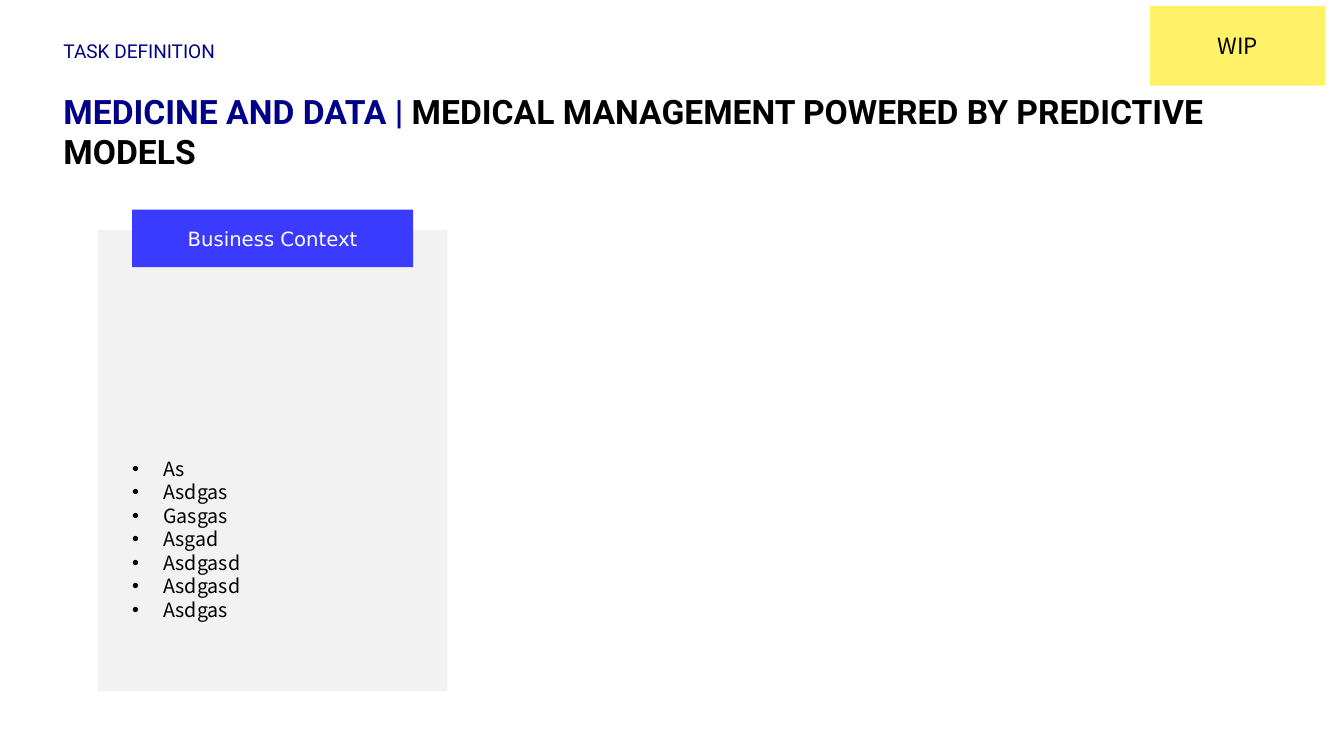
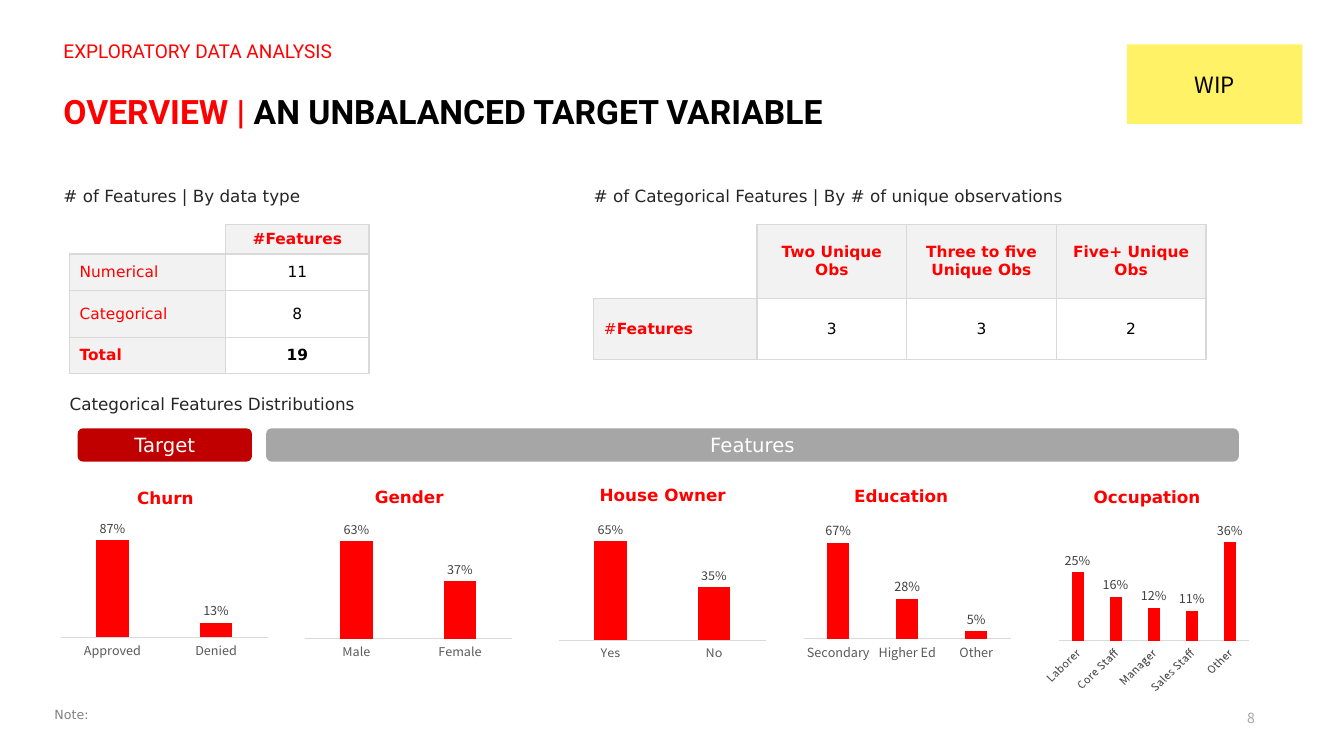
import pptx
import pptx.chart.data
import pptx.dml.color
import pptx.enum.chart
import pptx.enum.shapes
import pptx.enum.text
import pptx.oxml.ns
import pptx.util
from lxml import etree

RGB = pptx.dml.color.RGBColor
NAVY = RGB(0x00, 0x00, 0x88)
BLUE = RGB(0x3B, 0x3B, 0xFF)
RED = RGB(0xFF, 0x00, 0x00)
DARK_RED = RGB(0xC0, 0x00, 0x00)
YELLOW = RGB(0xFF, 0xF2, 0x66)
BLACK = RGB(0x00, 0x00, 0x00)
WHITE = RGB(0xFF, 0xFF, 0xFF)
PALE = RGB(0xF2, 0xF2, 0xF2)
RULE = RGB(0xD9, 0xD9, 0xD9)
SILVER = RGB(0xA6, 0xA6, 0xA6)
GRAY = RGB(0x80, 0x80, 0x80)
AXIS_TEXT = RGB(0x59, 0x59, 0x59)
LABEL_TEXT = RGB(0x40, 0x40, 0x40)
CAPTION_TEXT = RGB(0x26, 0x26, 0x26)

SANS, BODY, HEAD = "DejaVu Sans", "Noto Sans CJK JP", "Roboto"
COLS, ROWS, CELL = 133.33, 75, 0.1

ALIGN = pptx.enum.text.PP_ALIGN
ANCHOR = pptx.enum.text.MSO_ANCHOR
SHAPE = pptx.enum.shapes.MSO_SHAPE
qn = pptx.oxml.ns.qn


def grid(value):
    return pptx.util.Inches(value * CELL)


def style(name, size, color, bold=False):
    return {"name": name, "size": pptx.util.Pt(size), "color": color, "bold": bold}


CAPTION = style(SANS, 12, CAPTION_TEXT)
CHART_TITLE = style(SANS, 12, RED, True)
BUTTON = style(SANS, 14, WHITE)
TABLE_HEAD = style(SANS, 11, RED, True)
TABLE_LABEL = style(SANS, 11, RED)
TABLE_VALUE = style(SANS, 11, BLACK)
TABLE_TOTAL = style(SANS, 11, BLACK, True)


class Deck:
    def __init__(self):
        self.prs = pptx.Presentation()
        self.prs.slide_width = grid(COLS)
        self.prs.slide_height = grid(ROWS)
        self.s = None

    def set_font(self, font, values):
        for key, value in values.items():
            if key == "color":
                font.color.rgb = value
            else:
                setattr(font, key, value)

    def fill_text(self, tf, paragraphs, align=ALIGN.LEFT, spacing=None):
        for i, runs in enumerate(paragraphs):
            p = tf.add_paragraph() if i else tf.paragraphs[0]
            p.alignment = align
            if spacing:
                p.line_spacing = spacing
            for text, values in runs:
                r = p.add_run()
                r.text = text
                self.set_font(r.font, values)

    def frame(self, tf, insets, anchor=ANCHOR.TOP):
        values = dict(zip(("margin_left", "margin_top", "margin_right", "margin_bottom"),
                          map(grid, insets)))
        values.update(word_wrap=True, vertical_anchor=anchor,
                      auto_size=pptx.enum.text.MSO_AUTO_SIZE.NONE)
        for key, value in values.items():
            setattr(tf, key, value)

    def slide(self, section, topic, message, color):
        self.s = self.prs.slides.add_slide(self.prs.slide_layouts[5])
        title = self.s.shapes.title
        for key, value in zip(("left", "top", "width", "height"), (6.3, 8.5, 122.9, 9.9)):
            setattr(title, key, grid(value))
        self.frame(title.text_frame, (0, 0.5, 0, 0))
        self.fill_text(title.text_frame, [[(topic + " | ", style(HEAD, 24, color, True)),
                                           (message, style(HEAD, 24, BLACK, True))]])
        self.text((6.3, 4.4, 62.5, 1.9), [section], style(HEAD, 13.6, color),
                  spacing=0.5, insets=(0, 0.5, 0, 0))

    def text(self, box, lines, values, align=ALIGN.LEFT, spacing=None,
             insets=(0, 0, 0, 0.5), anchor=ANCHOR.TOP):
        tf = self.s.shapes.add_textbox(*map(grid, box)).text_frame
        self.frame(tf, insets, anchor)
        self.fill_text(tf, [[(line, values)] for line in lines], align, spacing)
        return tf

    def bullets(self, box, lines, values, spacing):
        tf = self.text(box, lines, values, spacing=spacing)
        indent = grid(3.1)
        for p in tf.paragraphs:
            pPr = p._p.get_or_add_pPr()
            pPr.set("marL", str(indent))
            pPr.set("indent", str(-indent))
            etree.SubElement(pPr, qn("a:buFont"), typeface="Arial")
            etree.SubElement(pPr, qn("a:buChar"), char="•")

    def box(self, box, fill, text=None, values=None, kind=SHAPE.RECTANGLE):
        sp = self.s.shapes.add_shape(kind, *map(grid, box))
        sp.shadow.inherit = False
        sp.fill.solid()
        sp.fill.fore_color.rgb = fill
        sp.line.fill.background()
        if text:
            sp.text_frame.vertical_anchor = ANCHOR.MIDDLE
            self.fill_text(sp.text_frame, [[(text, values)]], ALIGN.CENTER)
        return sp

    def wip(self, left, top):
        self.box((left, top, 17.4, 7.9), YELLOW, "WIP", style(BODY, 16, BLACK))

    def borders(self, cell, sides):
        tcPr = cell._tc.get_or_add_tcPr()
        for i, side in enumerate(sides):
            ln = etree.Element(qn("a:ln" + side), w=str(pptx.util.Pt(1)))
            fill = etree.SubElement(ln, qn("a:solidFill"))
            etree.SubElement(fill, qn("a:srgbClr"), val=str(RULE))
            tcPr.insert(i, ln)

    def table(self, left, top, widths, heights, rows):
        table = self.s.shapes.add_table(len(heights), len(widths), grid(left), grid(top),
                                        grid(sum(widths)), grid(sum(heights))).table
        table.first_row = table.horz_banding = False
        for column, width in zip(table.columns, widths):
            column.width = grid(width)
        for row, height in zip(table.rows, heights):
            row.height = grid(height)
        for y, row in enumerate(rows):
            for x, runs in enumerate(row):
                cell = table.cell(y, x)
                cell.vertical_anchor = ANCHOR.MIDDLE
                if not runs:
                    cell.fill.background()
                    self.borders(cell, "RB")
                    p = cell.text_frame.paragraphs[0]._p
                    etree.SubElement(p, qn("a:endParaRPr"), sz="1100")
                    continue
                cell.fill.solid()
                cell.fill.fore_color.rgb = WHITE if x and y else PALE
                self.borders(cell, "LRTB")
                self.fill_text(cell.text_frame, [runs], ALIGN.CENTER if x else ALIGN.LEFT)

    def chart(self, box, shares, axis_size=9, rotation=-60000000):
        data = pptx.chart.data.CategoryChartData(number_format="0%")
        data.categories = list(shares)
        data.add_series("Series 1", list(shares.values()))
        chart = self.s.shapes.add_chart(pptx.enum.chart.XL_CHART_TYPE.COLUMN_CLUSTERED,
                                        *map(grid, box), data).chart
        chart.has_legend = chart.has_title = False
        self.set_font(chart.font, style(BODY, 9, BLACK))
        value_axis, axis = chart.value_axis, chart.category_axis
        value_axis.visible = value_axis.has_major_gridlines = False
        value_axis.minimum_scale = 0
        axis.major_tick_mark = axis.minor_tick_mark = pptx.enum.chart.XL_TICK_MARK.NONE
        axis.format.line.color.rgb = RULE
        axis.format.line.width = pptx.util.Pt(0.75)
        self.set_font(axis.tick_labels.font, style(BODY, axis_size, AXIS_TEXT))
        axis._element.find(qn("c:txPr")).find(qn("a:bodyPr")).set("rot", str(rotation))
        plot = chart.plots[0]
        plot.gap_width, plot.overlap, plot.vary_by_categories = 219, -27, False
        fill = plot.series[0].format.fill
        fill.solid()
        fill.fore_color.rgb = RED
        plot.has_data_labels = True
        labels = plot.data_labels
        values = {"show_value": True, "number_format": "0%", "number_format_is_linked": False,
                  "position": pptx.enum.chart.XL_LABEL_POSITION.OUTSIDE_END}
        for key, value in values.items():
            setattr(labels, key, value)
        self.set_font(labels.font, style(BODY, 9, LABEL_TEXT))


def task_definition(deck):
    deck.slide("TASK DEFINITION", "MEDICINE AND DATA",
               "MEDICAL MANAGEMENT POWERED BY PREDICTIVE MODELS", NAVY)
    panel = deck.box((9.7, 22.8, 34.7, 45.8), PALE)
    header = deck.box((13.1, 20.8, 27.9, 5.7), BLUE, "Business Context", BUTTON)
    deck.s.shapes.add_group_shape([panel, header])
    deck.wip(114.1, 0.6)
    deck.bullets((13.1, 45.3, 27.9, 17),
                 ["As", "Asdgas", "Gasgas", "Asgad", "Asdgasd", "Asdgasd", "Asdgas"],
                 style(BODY, 14, BLACK), pptx.util.Pt(16.8))


def data_analysis(deck):
    deck.slide("EXPLORATORY DATA ANALYSIS", "OVERVIEW", "AN UNBALANCED TARGET VARIABLE", RED)
    deck.text((121.2, 70.2, 3.3, 1.9), ["8"], style(BODY, 10, SILVER),
              align=ALIGN.RIGHT, insets=(0, 0, 0, 0), anchor=ANCHOR.BOTTOM)
    deck.text((5.4, 70.1, 115.8, 2), ["Note:"], style(SANS, 9, GRAY))

    for left, top, width, caption in (
            (6.3, 18.4, 31.8, "# of Features | By data type"),
            (58.9, 18.4, 62.3, "# of Categorical Features | By # of unique observations"),
            (6.9, 39.1, 31.8, "Categorical Features Distributions")):
        deck.text((left, top, width, 2.5), [caption], CAPTION)

    deck.table(6.9, 22.3, (15.5, 14.2), (2.8, 3.6, 4.7, 3.6), [
        [None, [("#Features", TABLE_HEAD)]],
        [[("Numerical", TABLE_LABEL)], [("11", TABLE_VALUE)]],
        [[("Categorical", TABLE_LABEL)], [("8", TABLE_VALUE)]],
        [[("Total", TABLE_HEAD)], [("19", TABLE_TOTAL)]]])
    heads = ("Two Unique Obs", "Three to five Unique Obs", "Five+ Unique Obs")
    deck.table(58.9, 22.3, (16.2, 14.85, 14.85, 14.85), (7.3, 6.1), [
        [None] + [[(head, TABLE_HEAD)] for head in heads],
        [[("#", TABLE_LABEL), ("Features", TABLE_HEAD)]]
        + [[(count, TABLE_VALUE)] for count in "332"]])

    for left, width, fill, text in ((7.7, 17.3, DARK_RED, "Target"),
                                    (26.4, 96.5, SILVER, "Features")):
        deck.box((left, 42.5, width, 3.3), fill, text, BUTTON, SHAPE.ROUNDED_RECTANGLE)

    for name, title_left, title_top, left, top, shares in (
            ("Churn", 9.85, 47.4, 5.6, 51.5, {"Approved": 0.87, "Denied": 0.13}),
            ("Gender", 34.05, 47.3, 29.8, 51.6, {"Male": 0.63, "Female": 0.37}),
            ("House Owner", 59.2, 47.1, 55, 51.7, {"Yes": 0.65, "No": 0.35}),
            ("Education", 82.85, 47.2, 79.3, 51.7,
             {"Secondary": 0.67, "Higher Ed": 0.28, "Other": 0.05}),
            ("Occupation", 107.25, 47.3, 102.9, 51.7,
             {"Laborer": 0.25, "Core Staff": 0.16, "Manager": 0.12,
              "Sales Staff": 0.11, "Other": 0.36})):
        deck.text((title_left, title_top, 13.1, 3.1), [name], CHART_TITLE,
                  align=ALIGN.CENTER, spacing=1.5)
        if len(shares) > 3:
            deck.chart((left, top, 21.4, 17.5), shares, 8, -2700000)
        else:
            deck.chart((left, top, 21.4, 14.1), shares)
    deck.wip(111.8, 4.4)


def main():
    deck = Deck()
    task_definition(deck)
    data_analysis(deck)
    deck.prs.save("out.pptx")


if __name__ == "__main__":
    main()
